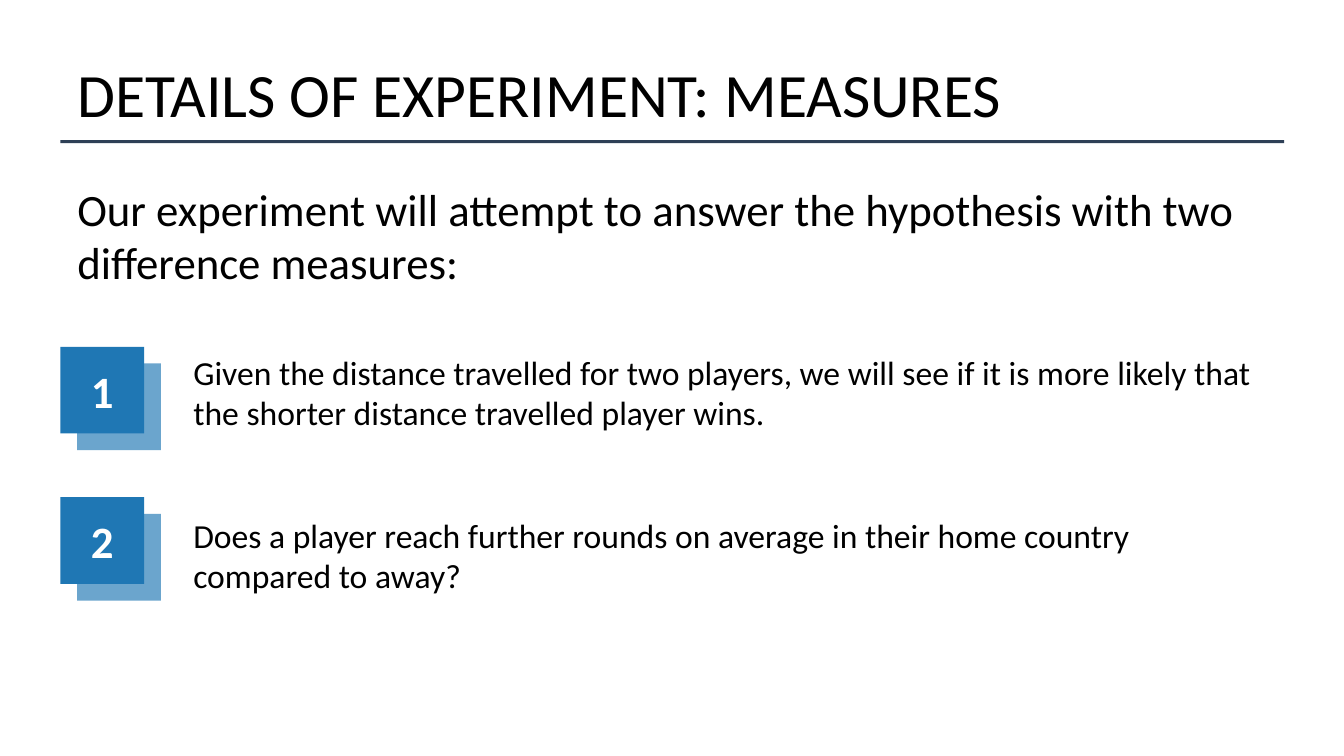
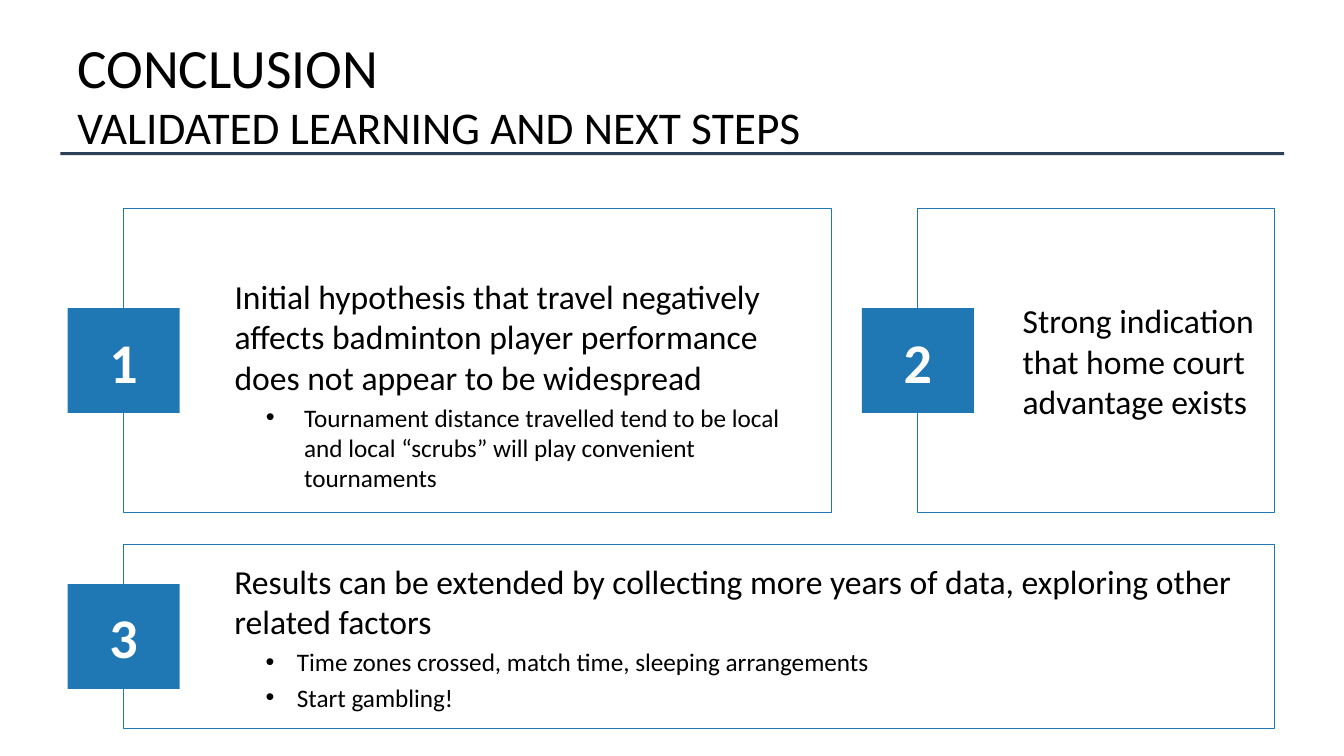
from dataclasses import dataclass
from typing import NamedTuple

from lxml.etree import SubElement
from pptx import Presentation
from pptx.dml.color import RGBColor
from pptx.enum.shapes import MSO_SHAPE as Preset
from pptx.enum.text import MSO_ANCHOR as Anchor, MSO_AUTO_SIZE as AutoSize, PP_ALIGN as Align
from pptx.oxml.ns import qn
from pptx.slide import Slide
from pptx.text.text import TextFrame
from pptx.util import Inches, Pt

FONT = "Calibri"
BLACK, WHITE, BLUE, NAVY = "000000", "FFFFFF", "1F77B4", "0F243E"
SLIDE_WIDTH, SLIDE_HEIGHT = Inches(13.33), Inches(7.5)
COLUMN, ROW = SLIDE_WIDTH / 100, SLIDE_HEIGHT / 100


class Box(NamedTuple):
    """A rectangle in percent of the slide's width and height."""
    left: float
    top: float
    width: float
    height: float

    def moved(self, columns: float, rows: float) -> "Box":
        return Box(self.left + columns, self.top + rows, self.width, self.height)

    def lengths(self) -> tuple[int, int, int, int]:
        return (round(self.left * COLUMN), round(self.top * ROW),
                round(self.width * COLUMN), round(self.height * ROW))


@dataclass(frozen=True)
class Line:
    """One paragraph; indents are in inches, space before in points."""
    text: str
    size: float = 24
    indent: float = 0
    hanging: float = 0
    before: float | None = None
    color: str = BLACK
    bold: bool = False
    align: Align = Align.LEFT


@dataclass(frozen=True)
class Panel:
    box: Box
    lines: tuple[Line, ...]
    top_inset: float = 0.05
    is_body: bool = False


TITLE_BOX = Box(5, 4, 90, 16.67)
INTRO_BOX = Box(5, 23.33, 90, 16.67)
MEASURES_BOX = Box(13.65, 45.87, 80.5, 33.6)
SMALL_BADGE = Box(4.5, 45.87, 6.22, 11.47)
BADGE_PITCH = 19.9
BADGE_SHADOW = (1.25, 2.2)
LARGE_BADGE = (8.33, 13.87)

MEASURES = (
    Line("Given the distance travelled for two players, we will see if it is more "
         "likely that the shorter distance travelled player wins.", before=0),
    Line("Does a player reach further rounds on average in their home country "
         "compared to away?", before=58.6),
)
PANELS = (
    Panel(Box(9.2, 27.6, 52.65, 40.2), (
        Line("Initial hypothesis that travel negatively affects badminton player "
             "performance does not appear to be widespread", indent=1),
        Line("Tournament distance travelled tend to be local and local “scrubs” will "
             "play convenient tournaments", 18, 1.69, 0.38),
    ), top_inset=0.52, is_body=True),
    Panel(Box(68.3, 27.6, 26.55, 40.2), (
        Line("Strong indication that home court advantage exists", indent=0.94),
    )),
    Panel(Box(9.2, 72, 85.65, 24.4), (
        Line("Results can be extended by collecting more years of data, exploring "
             "other related factors", indent=1),
        Line("Time zones crossed, match time, sleeping arrangements", 18, 1.62, 0.31),
        Line("Start gambling!", 18, 1.62, 0.31),
    )),
)


def rgb(color: str) -> RGBColor:
    return RGBColor.from_string(color)


def place(shape, box: Box) -> None:
    shape.left, shape.top, shape.width, shape.height = box.lengths()


def add_run(paragraph, text: str, size: float, color: str = BLACK, bold: bool = False) -> None:
    run = paragraph.add_run()
    run.text = text
    run.font.name, run.font.size, run.font.bold = FONT, Pt(size), bold
    run.font.color.rgb = rgb(color)


def write(frame: TextFrame, lines: tuple[Line, ...], anchor: Anchor) -> None:
    frame.word_wrap = True
    frame.auto_size = AutoSize.NONE
    frame.vertical_anchor = anchor
    for index, line in enumerate(lines):
        paragraph = frame.add_paragraph() if index else frame.paragraphs[0]
        paragraph.alignment = line.align
        paragraph.space_before = Pt(0.2 * line.size if line.before is None else line.before)
        properties = paragraph._p.get_or_add_pPr()
        properties.set("marL", str(Inches(line.indent)))
        properties.set("indent", str(-Inches(line.hanging)))
        if line.hanging:
            SubElement(properties, qn("a:buFont"), typeface="Arial")
            SubElement(properties, qn("a:buChar"), char="•")
        else:
            SubElement(properties, qn("a:buNone"))
        add_run(paragraph, line.text, line.size, line.color, line.bold)


def add_rectangle(slide: Slide, box: Box, fill: str | None = None, opacity: int = 100):
    shape = slide.shapes.add_shape(Preset.RECTANGLE, *box.lengths())
    shape.shadow.inherit = False
    shape.line.fill.background()
    if fill is None:
        shape.fill.background()
        return shape
    shape.fill.solid()
    shape.fill.fore_color.rgb = rgb(fill)
    if opacity < 100:
        color = shape.element.spPr.find(f".//{qn('a:srgbClr')}")
        SubElement(color, qn("a:alpha"), val=str(opacity * 1000))
    return shape


def add_badge(slide: Slide, box: Box, number: int, size: float) -> None:
    badge = add_rectangle(slide, box, BLUE)
    label = Line(str(number), size, color=WHITE, bold=True, align=Align.CENTER)
    write(badge.text_frame, (label,), Anchor.MIDDLE)


def add_panel(slide: Slide, panel: Panel) -> None:
    if panel.is_body:
        shape = slide.placeholders[1]
        place(shape, panel.box)
    else:
        shape = add_rectangle(slide, panel.box)
    shape.line.color.rgb = rgb(BLUE)
    shape.line.width = Pt(0.75)
    shape.text_frame.margin_top = Inches(panel.top_inset)
    write(shape.text_frame, panel.lines, Anchor.MIDDLE)


def add_titled_slide(presentation, rule_top: float, *title: tuple[str, float]) -> Slide:
    """Add a slide whose title has one (text, size) pair per line, above a rule."""
    slide = presentation.slides.add_slide(presentation.slide_layouts[1])
    place(slide.shapes.title, TITLE_BOX)
    frame = slide.shapes.title.text_frame
    frame.auto_size = AutoSize.NONE
    frame.vertical_anchor = Anchor.MIDDLE
    paragraph = frame.paragraphs[0]
    paragraph.alignment = Align.LEFT
    for index, (text, size) in enumerate(title):
        if index:
            paragraph.add_line_break()
        add_run(paragraph, text, size)
    add_rectangle(slide, Box(4.5, rule_top, 91.05, 0.4), NAVY, 87)
    return slide


def build_measures(presentation) -> None:
    slide = add_titled_slide(presentation, 18.53, ("DETAILS OF EXPERIMENT: MEASURES", 44))
    intro = slide.placeholders[1]
    place(intro, INTRO_BOX)
    write(intro.text_frame, (Line("Our experiment will attempt to answer the hypothesis "
                                  "with two difference measures:", 32),), Anchor.TOP)
    measures = slide.shapes.add_textbox(*MEASURES_BOX.lengths())
    write(measures.text_frame, MEASURES, Anchor.TOP)
    for index in range(len(MEASURES)):
        box = SMALL_BADGE.moved(0, index * BADGE_PITCH)
        add_rectangle(slide, box.moved(*BADGE_SHADOW), BLUE, 66)
        add_badge(slide, box, index + 1, 32)


def build_conclusion(presentation) -> None:
    slide = add_titled_slide(presentation, 20.13, ("CONCLUSION", 39.6),
                             ("VALIDATED LEARNING AND NEXT STEPS", 32.4))
    width, height = LARGE_BADGE
    for number, panel in enumerate(PANELS, start=1):
        add_panel(slide, panel)
        middle = panel.box.top + panel.box.height / 2
        box = Box(panel.box.left - width / 2, middle - height / 2, width, height)
        add_badge(slide, box, number, 40)


def main() -> None:
    presentation = Presentation()
    presentation.slide_width, presentation.slide_height = SLIDE_WIDTH, SLIDE_HEIGHT
    build_measures(presentation)
    build_conclusion(presentation)
    presentation.save("out.pptx")


if __name__ == "__main__":
    main()
